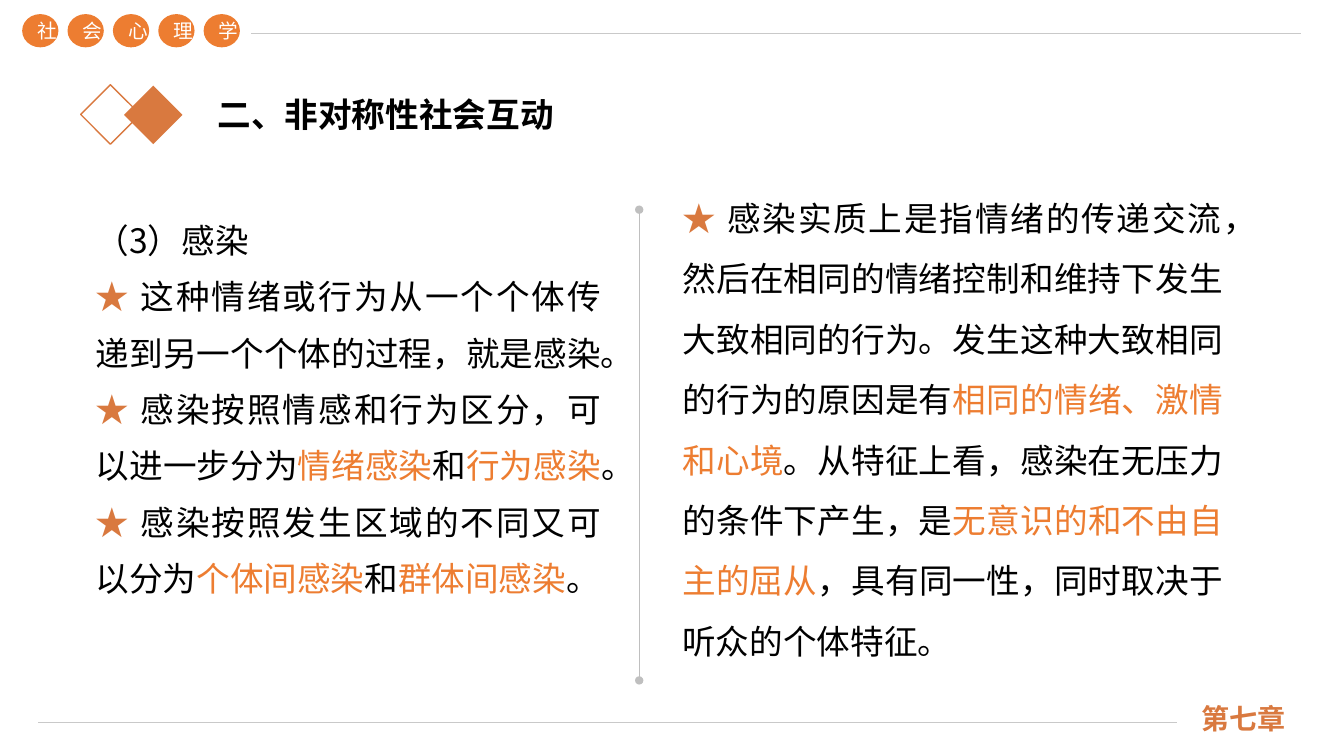
from lxml.etree import SubElement
from pptx import Presentation
from pptx.dml.color import RGBColor
from pptx.enum.shapes import MSO_CONNECTOR, MSO_SHAPE
from pptx.enum.text import MSO_ANCHOR, MSO_AUTO_SIZE, PP_ALIGN
from pptx.oxml.ns import qn
from pptx.util import Inches, Pt

COLORS = {
    "text": "000000",
    "white": "FFFFFF",
    "accent": "D9793F",
    "highlight": "ED7D31",
    "rule": "C9C9C9",
    "divider": "BFBFBF",
}
FONT = "Noto Sans CJK SC"
CHAPTER_FONT = "Noto Sans CJK JP"
STAR = ("★ ", "accent")

LEFT_PARAGRAPHS = [
    [("（3）感染", "text")],
    [STAR, ("这种情绪或行为从一个个体传递到另一个个体的过程，就是感染。", "text")],
    [STAR, ("感染按照情感和行为区分，可以进一步分为", "text"),
     ("情绪感染", "highlight"), ("和", "text"),
     ("行为感染", "highlight"), ("。", "text")],
    [STAR, ("感染按照发生区域的不同又可以分为", "text"),
     ("个体间感染", "highlight"), ("和", "text"),
     ("群体间感染", "highlight"), ("。", "text")],
]
RIGHT_PARAGRAPHS = [
    [STAR,
     ("感染实质上是指情绪的传递交流，然后在相同的情绪控制和维持下发生"
      "大致相同的行为。发生这种大致相同的行为的原因是有", "text"),
     ("相同的情绪、激情和心境", "highlight"),
     ("。从特征上看，感染在无压力的条件下产生，是", "text"),
     ("无意识的和不由自主的屈从", "highlight"),
     ("，具有同一性，同时取决于听众的个体特征。", "text")],
]


def color(name):
    return RGBColor.from_string(COLORS[name])


def add_run(paragraph, text, size, color_name, bold=False, font_name=FONT):
    run = paragraph.add_run()
    run.text = text
    run.font.size = Pt(size)
    run.font.bold = bold
    run.font.color.rgb = color(color_name)
    run.font.name = font_name
    # Chinese characters take the East Asian typeface
    SubElement(run.font._element, qn("a:ea"), typeface=font_name)


def add_text_box(slide, left, top, width, height, wrap=True):
    box = slide.shapes.add_textbox(
        Inches(left), Inches(top), Inches(width), Inches(height))
    box.text_frame.word_wrap = wrap
    return box.text_frame


def add_body(slide, left, top, width, height, paragraphs, line_spacing):
    frame = add_text_box(slide, left, top, width, height)
    frame.auto_size = MSO_AUTO_SIZE.SHAPE_TO_FIT_TEXT
    for index, runs in enumerate(paragraphs):
        paragraph = frame.add_paragraph() if index else frame.paragraphs[0]
        paragraph.alignment = PP_ALIGN.JUSTIFY
        paragraph.line_spacing = line_spacing
        for text, color_name in runs:
            add_run(paragraph, text, 24, color_name)


def add_preset(slide, kind, left, top, width, height, fill=None, line=None):
    shape = slide.shapes.add_shape(
        kind, Inches(left), Inches(top), Inches(width), Inches(height))
    shape.shadow.inherit = False
    if fill:
        shape.fill.solid()
        shape.fill.fore_color.rgb = color(fill)
    else:
        shape.fill.background()
    if line:
        shape.line.color.rgb = color(line)
        shape.line.width = Pt(1)
    else:
        shape.line.fill.background()
    return shape


def add_line(slide, start, end, color_name, oval_ends=False):
    connector = slide.shapes.add_connector(
        MSO_CONNECTOR.STRAIGHT, Inches(start[0]), Inches(start[1]),
        Inches(end[0]), Inches(end[1]))
    connector.line.color.rgb = color(color_name)
    connector.line.width = Pt(1)
    if oval_ends:
        line = connector.line._get_or_add_ln()
        for tag in ("a:headEnd", "a:tailEnd"):
            SubElement(line, qn(tag), type="oval")
    SubElement(connector._element.spPr, qn("a:effectLst"))


def add_course_name(slide, name):
    for index, character in enumerate(name):
        circle = add_preset(slide, MSO_SHAPE.OVAL, 0.22 + 0.45 * index, 0.14,
                            0.36, 0.33, fill="highlight")
        frame = circle.text_frame
        frame.word_wrap = True
        frame.vertical_anchor = MSO_ANCHOR.MIDDLE
        paragraph = frame.paragraphs[0]
        paragraph.alignment = PP_ALIGN.CENTER
        add_run(paragraph, character, 14, "white")


def add_heading(slide, text):
    add_preset(slide, MSO_SHAPE.DIAMOND, 1.23, 0.85, 0.58, 0.58, fill="accent")
    add_preset(slide, MSO_SHAPE.DIAMOND, 0.8, 0.84, 0.59, 0.59, line="accent")
    frame = add_text_box(slide, 2.06, 0.88, 3.57, 0.5, wrap=False)
    frame.auto_size = MSO_AUTO_SIZE.SHAPE_TO_FIT_TEXT
    add_run(frame.paragraphs[0], text, 24, "text", bold=True)


def add_chapter(slide, text):
    frame = add_text_box(slide, 11.82, 6.94, 3.11, 0.4)
    frame.vertical_anchor = MSO_ANCHOR.BOTTOM
    add_run(frame.paragraphs[0], text, 20, "accent", True, CHAPTER_FONT)


def main():
    presentation = Presentation()
    presentation.slide_width = Inches(13.33)
    presentation.slide_height = Inches(7.5)
    slide = presentation.slides.add_slide(presentation.slide_layouts[6])

    # Two text columns with a divider
    add_body(slide, 0.85, 1.97, 5.21, 4, LEFT_PARAGRAPHS, 1.4)
    add_heading(slide, "二、非对称性社会互动")
    add_body(slide, 6.67, 1.71, 5.56, 5.48, RIGHT_PARAGRAPHS, 1.5)
    add_line(slide, (6.34, 2.08), (6.34, 6.75), "divider", oval_ends=True)

    # Header and footer
    add_line(slide, (0.38, 7.17), (11.67, 7.17), "rule")
    add_line(slide, (2.49, 0.33), (12.9, 0.33), "rule")
    add_chapter(slide, "第七章")
    add_course_name(slide, "社会心理学")

    presentation.save("out.pptx")


if __name__ == "__main__":
    main()
